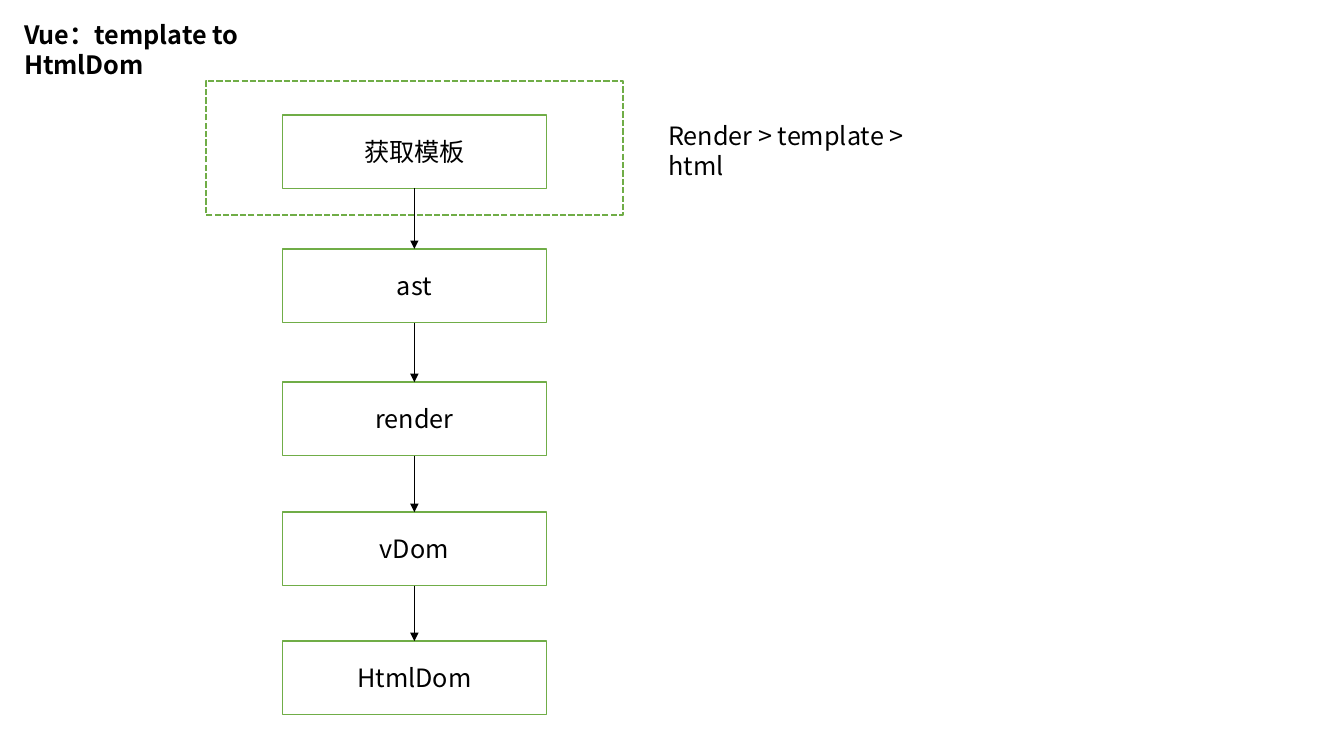
import pptx
import pptx.util
import pptx.dml.color
import pptx.enum.dml
import pptx.enum.shapes
import pptx.enum.text
import pptx.oxml.ns
import lxml.etree

Inches = pptx.util.Inches
FONT = "Noto Sans CJK SC"
COLOURS = {"paper": "FFFFFF", "ink": "000000", "green": "70AD47"}


def colour(name):
    return pptx.dml.color.RGBColor.from_string(COLOURS[name])


def add_child(parent, tag, **attributes):
    return lxml.etree.SubElement(parent, pptx.oxml.ns.qn(tag), **attributes)


def write_text(shape, text, bold=False):
    frame = shape.text_frame
    frame.word_wrap = True
    para = frame.paragraphs[0]
    span = para.add_run()
    span.text = text
    span.font.size = pptx.util.Pt(18)
    span.font.name = FONT
    span.font.bold = bold
    span.font.color.rgb = colour("ink")
    # Chinese characters take their font from a:ea
    add_child(span.font._element, "a:ea", typeface=FONT)
    return para


def add_label(page, left, top, width, height, text, bold=False):
    box = page.shapes.add_textbox(Inches(left), Inches(top), Inches(width), Inches(height))
    write_text(box, text, bold)


def add_box(page, left, top, width, height, line_width):
    box = page.shapes.add_shape(
        pptx.enum.shapes.MSO_SHAPE.RECTANGLE,
        Inches(left), Inches(top), Inches(width), Inches(height))
    box.shadow.inherit = False
    box.fill.solid()
    box.fill.fore_color.rgb = colour("paper")
    box.line.color.rgb = colour("green")
    box.line.width = pptx.util.Pt(line_width)
    return box


def add_arrow(page, x, top, bottom):
    arrow = page.shapes.add_connector(
        pptx.enum.shapes.MSO_CONNECTOR.STRAIGHT,
        Inches(x), Inches(top), Inches(x), Inches(bottom))
    arrow.line.color.rgb = colour("ink")
    arrow.line.width = pptx.util.Pt(0.5)
    add_child(arrow.line._get_or_add_ln(), "a:tailEnd", type="triangle")
    add_child(arrow._element.spPr, "a:effectLst")


def add_template_frame(page, left, top, width, height):
    frame = add_box(page, left, top, width, height, 1.5)
    frame.line.dash_style = pptx.enum.dml.MSO_LINE.SQUARE_DOT


def add_flow(page, left, top, width, step_height, steps):
    """Stack the steps at their offsets below top, joined by arrows."""
    previous_bottom = None
    for offset, text in steps:
        step_top = top + offset
        step = add_box(page, left, step_top, width, step_height, 1)
        step.text_frame.vertical_anchor = pptx.enum.text.MSO_ANCHOR.MIDDLE
        para = write_text(step, text)
        para.alignment = pptx.enum.text.PP_ALIGN.CENTER
        if previous_bottom is not None:
            add_arrow(page, left + width / 2, previous_bottom, step_top)
        previous_bottom = step_top + step_height


deck = pptx.Presentation()
deck.slide_width, deck.slide_height = Inches(13.33), Inches(7.5)
page = deck.slides.add_slide(deck.slide_layouts[6])

# Dashed frame around the first step, then the heading
add_template_frame(page, 2.04, 0.8, 4.14, 1.33)
add_label(page, 0.14, 0.14, 3.43, 0.4, "Vue：template to HtmlDom", bold=True)

# Compilation steps
STEPS = [(0, "获取模板"), (1.33, "ast"), (2.65, "render"), (3.94, "vDom"), (5.22, "HtmlDom")]
add_flow(page, 2.8, 1.14, 2.62, 0.73, STEPS)

# Priority of template sources
add_label(page, 6.53, 1.14, 3.03, 0.4, "Render > template > html")

deck.save("out.pptx")
